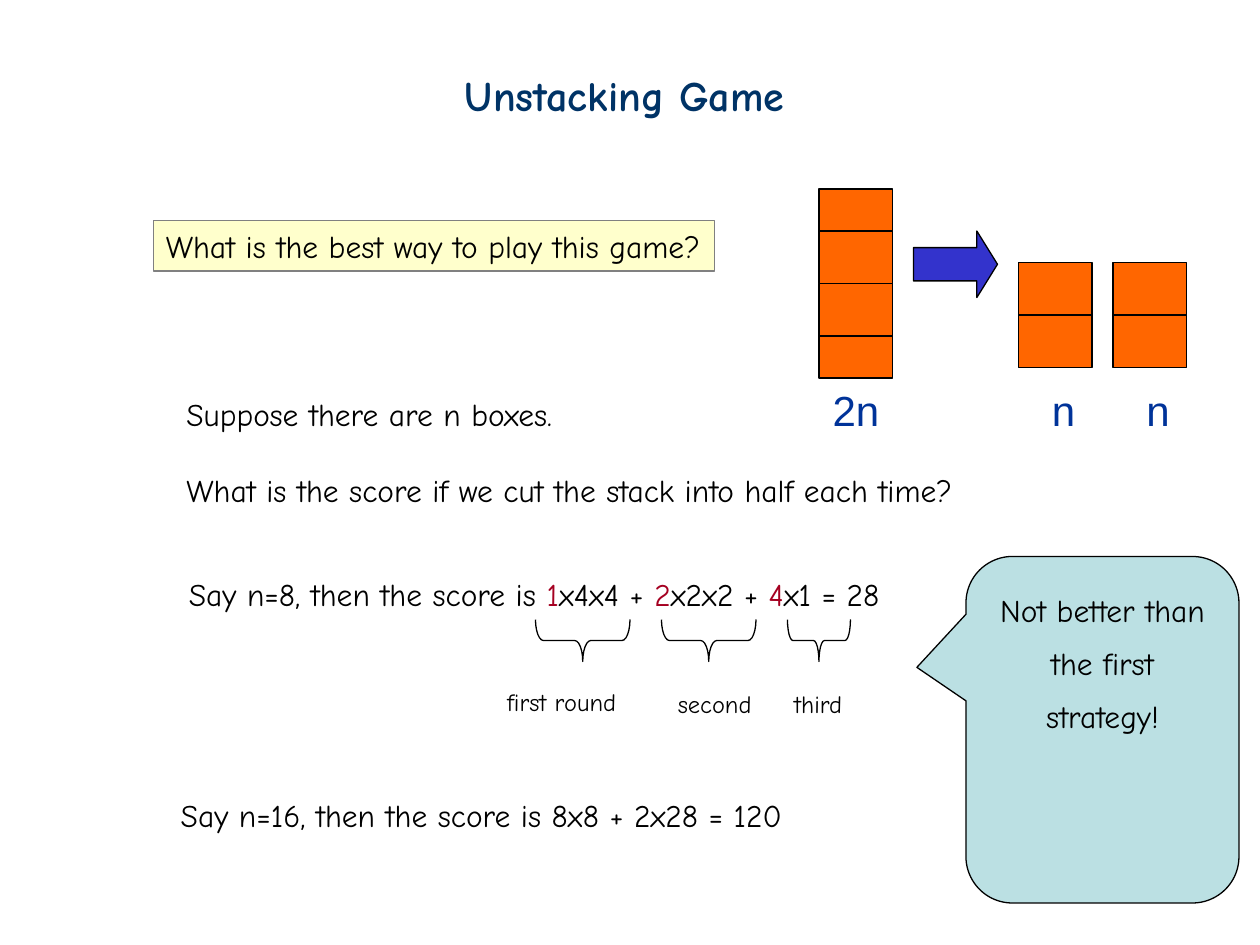
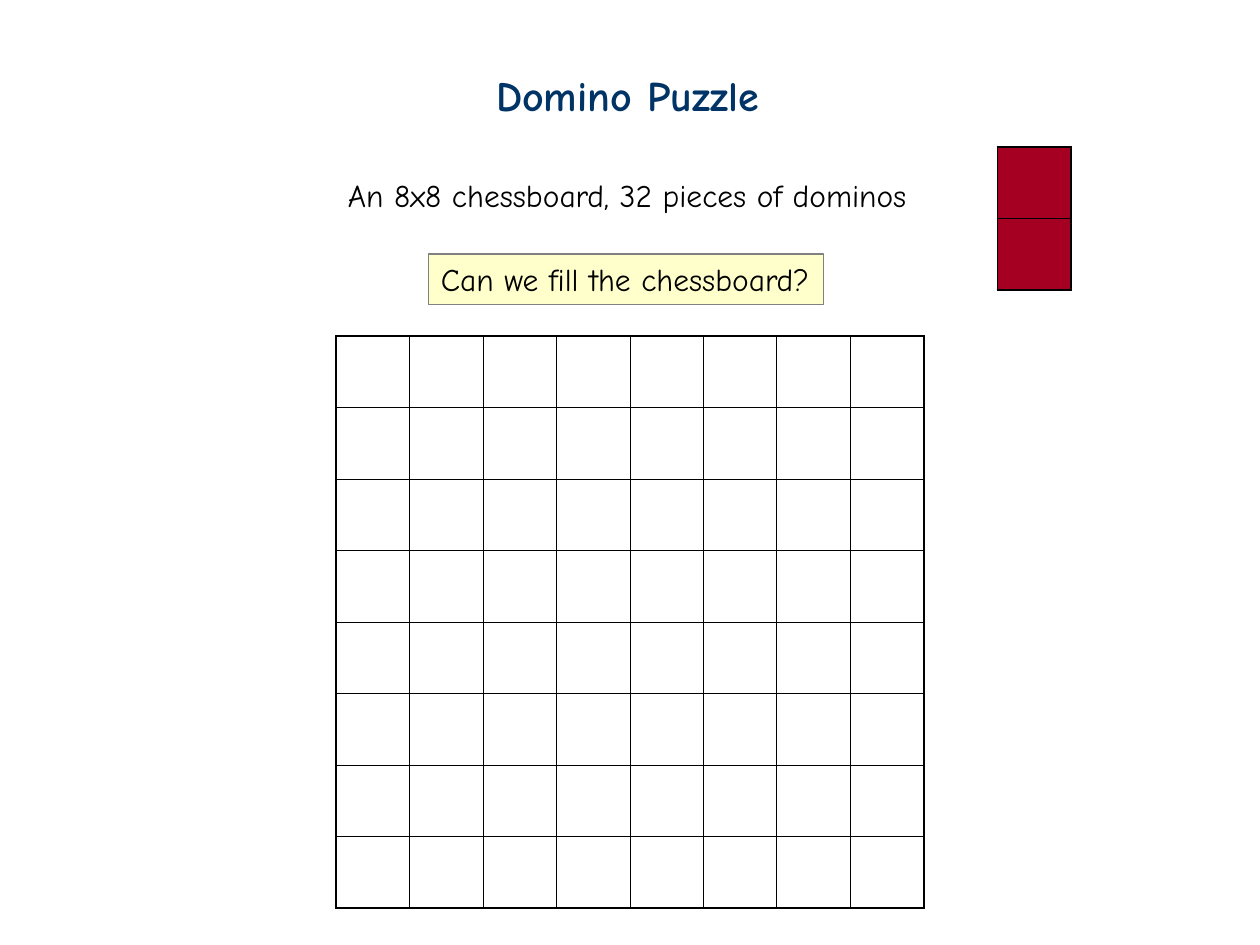
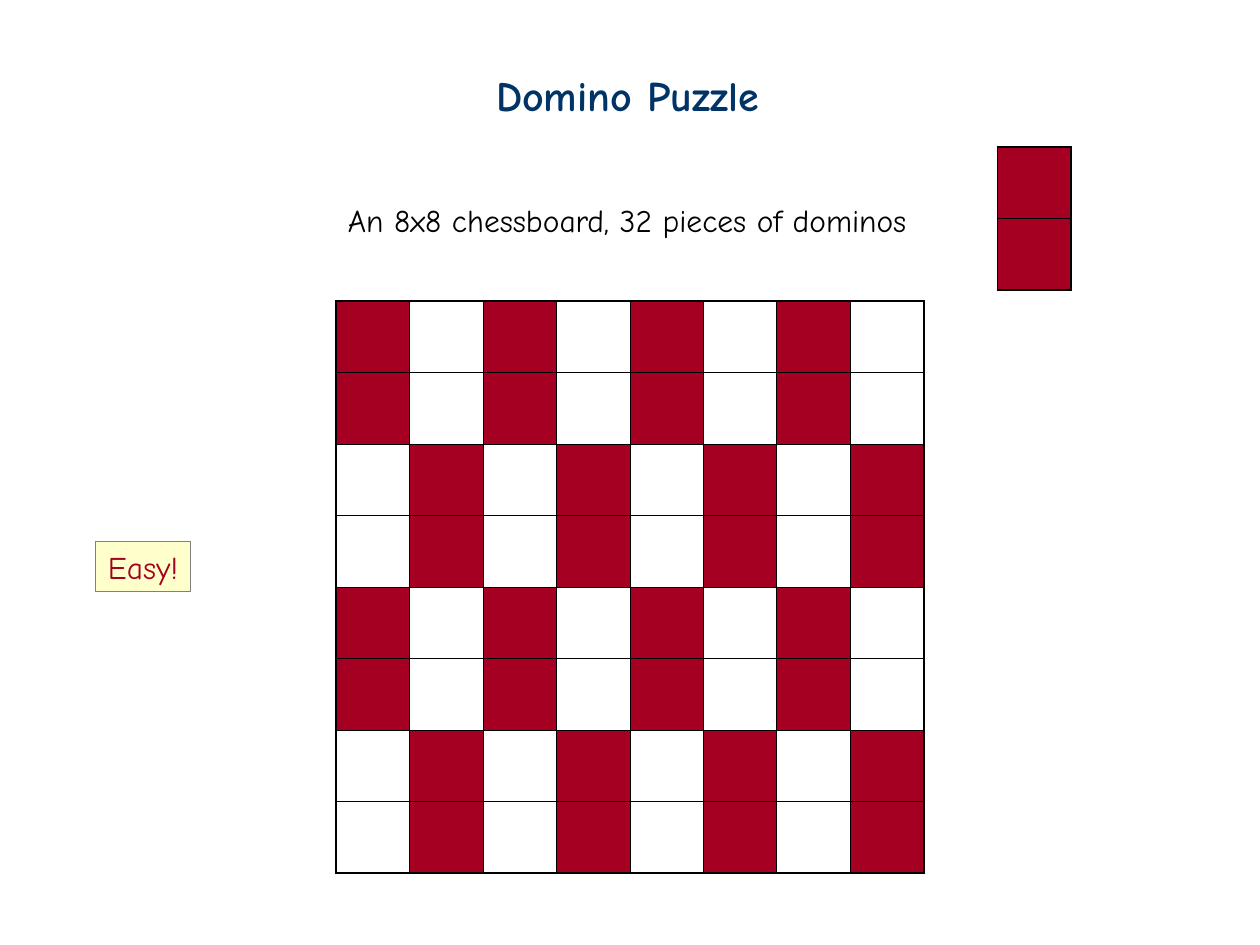
"""Build three slides on the unstacking game and the domino puzzle."""
from dataclasses import dataclass

from lxml import etree
from pptx import Presentation
from pptx import util as u
from pptx.dml.color import RGBColor
from pptx.enum import shapes, text
from pptx.oxml.ns import qn

Pt = u.Pt
Preset = shapes.MSO_SHAPE


@dataclass(frozen=True)
class Theme:
    """Colours, fonts and sizes shared by the slides."""
    ink: RGBColor = RGBColor.from_string("000000")
    title: RGBColor = RGBColor.from_string("003366")
    label: RGBColor = RGBColor.from_string("003399")
    crimson: RGBColor = RGBColor.from_string("A50021")
    orange: RGBColor = RGBColor.from_string("FF6600")
    arrow: RGBColor = RGBColor.from_string("3333CC")
    banner: RGBColor = RGBColor.from_string("FFFFCC")
    banner_edge: RGBColor = RGBColor.from_string("808080")
    callout: RGBColor = RGBColor.from_string("BBE0E3")
    hand: str = "Comic Neue"
    plain: str = "Arial"
    large: int = 24
    normal: int = 18
    small: int = 14
    edge: float = 0.75
    grid_inner: float = 0.45
    grid_outer: float = 1.08
    cell_width: float = 42
    cell_height: float = 40.85


THEME = Theme()


def place(left, top, width, height):
    """Return a rectangle in points as lengths."""
    return Pt(left), Pt(top), Pt(width), Pt(height)


def style_para(para, size, color, name=THEME.hand, bold=False):
    """Set the font of a left-aligned paragraph."""
    para.alignment = text.PP_ALIGN.LEFT
    para.font.name = name
    para.font.size = Pt(size)
    para.font.bold = bold
    para.font.color.rgb = color


def keep_lines(frame):
    """Let the box grow with its text instead of wrapping it."""
    frame.word_wrap = False
    frame.auto_size = text.MSO_AUTO_SIZE.SHAPE_TO_FIT_TEXT


def add_title(page, words, left, width):
    """Fill and move the title placeholder."""
    box = page.shapes.title
    box.left, box.top, box.width, box.height = place(left, 36, width, 36)
    frame = box.text_frame
    frame.text = words
    keep_lines(frame)
    style_para(frame.paragraphs[0], THEME.large, THEME.title, bold=True)


def add_text(page, area, lines, size=THEME.normal, color=THEME.ink, name=THEME.hand, gap=0):
    """Add a text box; a line is a string or a list of (words, colour) spans."""
    frame = page.shapes.add_textbox(*place(*area)).text_frame
    keep_lines(frame)
    for index, line in enumerate(lines):
        para = frame.add_paragraph() if index else frame.paragraphs[0]
        style_para(para, size, color, name)
        para.space_before = Pt(gap if index else 0)
        if isinstance(line, str):
            para.add_run().text = line
            continue
        for words, span_color in line:
            span = para.add_run()
            span.text = words
            span.font.color.rgb = span_color


def add_box(page, preset, area, fill=None, edge=THEME.ink, adjust=()):
    """Add a flat outlined preset shape."""
    box = page.shapes.add_shape(preset, *place(*area))
    box.shadow.inherit = False
    if fill is None:
        box.fill.background()
    else:
        box.fill.solid()
        box.fill.fore_color.rgb = fill
    box.line.color.rgb = edge
    box.line.width = Pt(THEME.edge)
    for index, value in enumerate(adjust):
        box.adjustments[index] = value
    return box


def add_banner(page, area, words, color=THEME.ink):
    """Add a pale yellow box with one line of text."""
    frame = add_box(page, Preset.RECTANGLE, area, THEME.banner, THEME.banner_edge).text_frame
    frame.text = words
    keep_lines(frame)
    style_para(frame.paragraphs[0], THEME.normal, color)


def add_callout(page, area, words):
    """Add a rounded speech bubble pointing left."""
    box = add_box(page, Preset.ROUNDED_RECTANGULAR_CALLOUT, area, THEME.callout,
                  adjust=(-0.68, -0.18, 0.17))
    frame = box.text_frame
    frame.text = words
    frame.vertical_anchor = text.MSO_ANCHOR.TOP
    para = frame.paragraphs[0]
    style_para(para, THEME.normal, THEME.ink)
    para.alignment = text.PP_ALIGN.CENTER
    para.line_spacing = 1.4


def add_stack(page, left, tops):
    """Add orange boxes in one column."""
    for top in tops:
        add_box(page, Preset.RECTANGLE, (left, top, 42, 30), THEME.orange)


def add_brace(page, center, length, bend):
    """Add a brace that opens upward below a term of the score."""
    depth = 24
    area = (center - depth / 2, 366 - length / 2, depth, length)
    box = add_box(page, Preset.LEFT_BRACE, area, adjust=(bend, 0.5))
    box.rotation = 270


def set_border(cell, side, width):
    """Draw one side of a cell as a solid line."""
    line = etree.SubElement(cell._tc.get_or_add_tcPr(), qn(f"a:ln{side}"), w=str(Pt(width)))
    fill = etree.SubElement(line, qn("a:solidFill"))
    etree.SubElement(fill, qn("a:srgbClr"), val=str(THEME.ink))


def add_grid(page, left, top, rows, columns, is_filled):
    """Add a table of squares with a heavier outer border."""
    area = place(left, top, columns * THEME.cell_width, rows * THEME.cell_height)
    table = page.shapes.add_table(rows, columns, *area).table
    table.first_row = table.horz_banding = False
    for column in table.columns:
        column.width = Pt(THEME.cell_width)
    for row_index, row in enumerate(table.rows):
        row.height = Pt(THEME.cell_height)
        for column_index, cell in enumerate(row.cells):
            outer = {"L": column_index == 0, "R": column_index == columns - 1,
                     "T": row_index == 0, "B": row_index == rows - 1}
            for side, is_outer in outer.items():
                set_border(cell, side, THEME.grid_outer if is_outer else THEME.grid_inner)
            if is_filled(row_index, column_index):
                cell.fill.solid()
                cell.fill.fore_color.rgb = THEME.crimson
            else:
                cell.fill.background()


def add_page(deck, title, left, width):
    """Add a slide with a title."""
    page = deck.slides.add_slide(deck.slide_layouts.get_by_name("Title Only"))
    add_title(page, title, left, width)
    return page


def build_unstacking(deck):
    """Build the slide on halving the stack."""
    page = add_page(deck, "Unstacking Game", 258.5, 199)
    add_callout(page, (552, 318, 156, 198), "Not better than the first strategy!")
    add_stack(page, 468, (186, 108, 132, 162))
    for left in (582, 636):
        add_stack(page, left, (150, 180))
        add_text(page, (left + 12, 216, 28, 36), ["n"], THEME.large, THEME.label, THEME.plain)
    add_box(page, Preset.RIGHT_ARROW, (522, 132, 48, 38), THEME.arrow, adjust=(0.5, 0.31))
    add_text(page, (468.7, 216, 42, 36), ["2n"], THEME.large, THEME.label, THEME.plain)
    add_banner(page, (87.7, 126, 320.7, 28.9), "What is the best way to play this game?")
    add_text(page, (99.4, 222, 455, 72),
             ["Suppose there are n boxes.",
              "What is the score if we cut the stack into half each time?"], gap=21.8)
    score = [("Say n=8, then the score is ", THEME.ink), ("1", THEME.crimson),
             ("x4x4 + ", THEME.ink), ("2", THEME.crimson), ("x2x2 + ", THEME.ink),
             ("4", THEME.crimson), ("x1 = 28", THEME.ink)]
    add_text(page, (100.8, 325.2, 411, 28.8), [score])
    rounds = (("first round", 333, 54, 0.19, (282.7, 389, 79, 24.5)),
              ("second", 405, 54, 0.19, (380.2, 390.2, 59, 24.5)),
              ("third", 468, 36, 0.13, (446.8, 390.2, 44, 24.5)))
    for words, center, length, bend, area in rounds:
        add_brace(page, center, length, bend)
        add_text(page, area, [words], THEME.small)
    add_text(page, (96.2, 451.5, 360, 28.8), ["Say n=16, then the score is 8x8 + 2x28 = 120"])


def build_domino(deck, board_top, caption_top, is_filled):
    """Build a domino slide with a board, a caption and one domino."""
    page = add_page(deck, "Domino Puzzle", 276.3, 168)
    add_grid(page, 192, board_top, 8, 8, is_filled)
    add_text(page, (191.7, caption_top, 336, 28.8), ["An 8x8 chessboard, 32 pieces of dominos"])
    add_grid(page, 570, 84, 2, 1, lambda row, column: True)
    return page


def main():
    """Build and save the deck."""
    deck = Presentation()
    deck.slide_width, deck.slide_height = Pt(720), Pt(540)
    build_unstacking(deck)
    empty_board = build_domino(deck, 192, 97.2, lambda row, column: False)
    add_banner(empty_board, (244.8, 145.2, 225.8, 28.8), "Can we fill the chessboard?")
    full_board = build_domino(deck, 172, 111.5, lambda row, column: (row // 2 + column) % 2 == 0)
    add_banner(full_board, (54.6, 309.4, 54.4, 28.8), "Easy!", THEME.crimson)
    deck.save("out.pptx")


if __name__ == "__main__":
    main()
